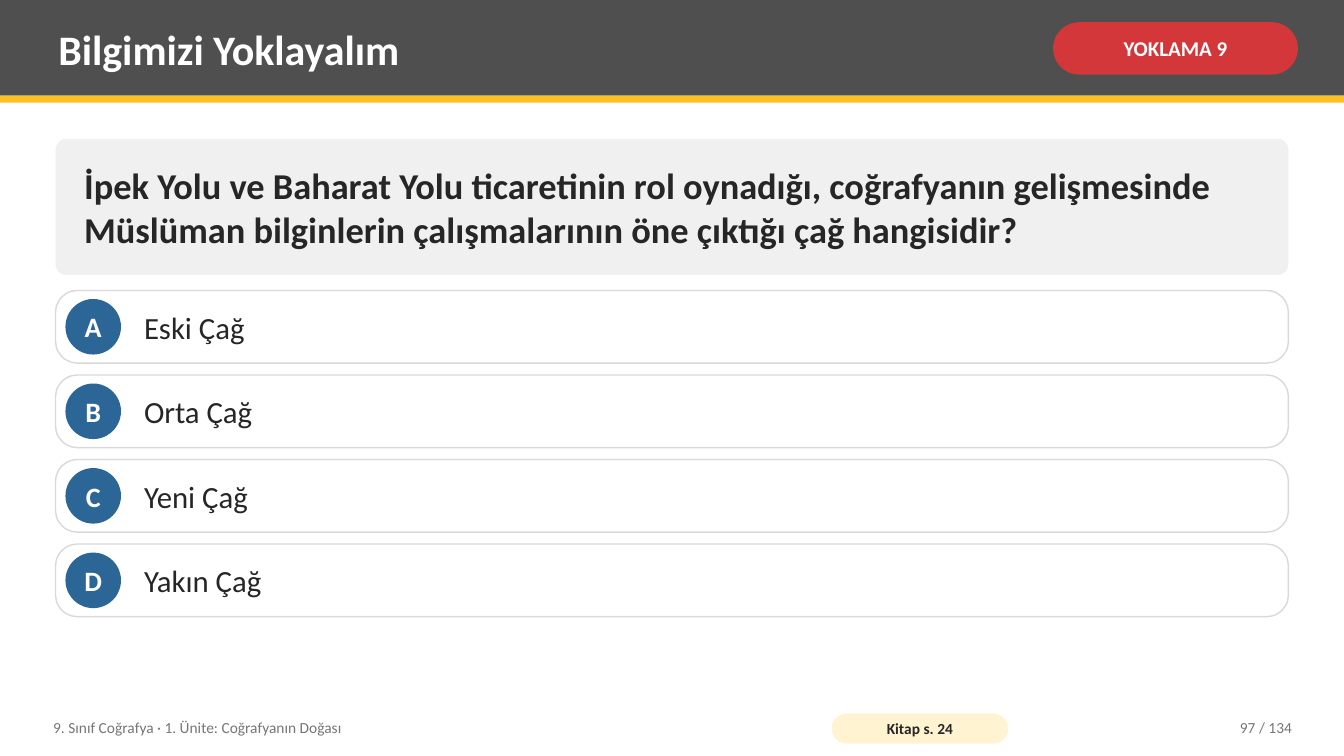
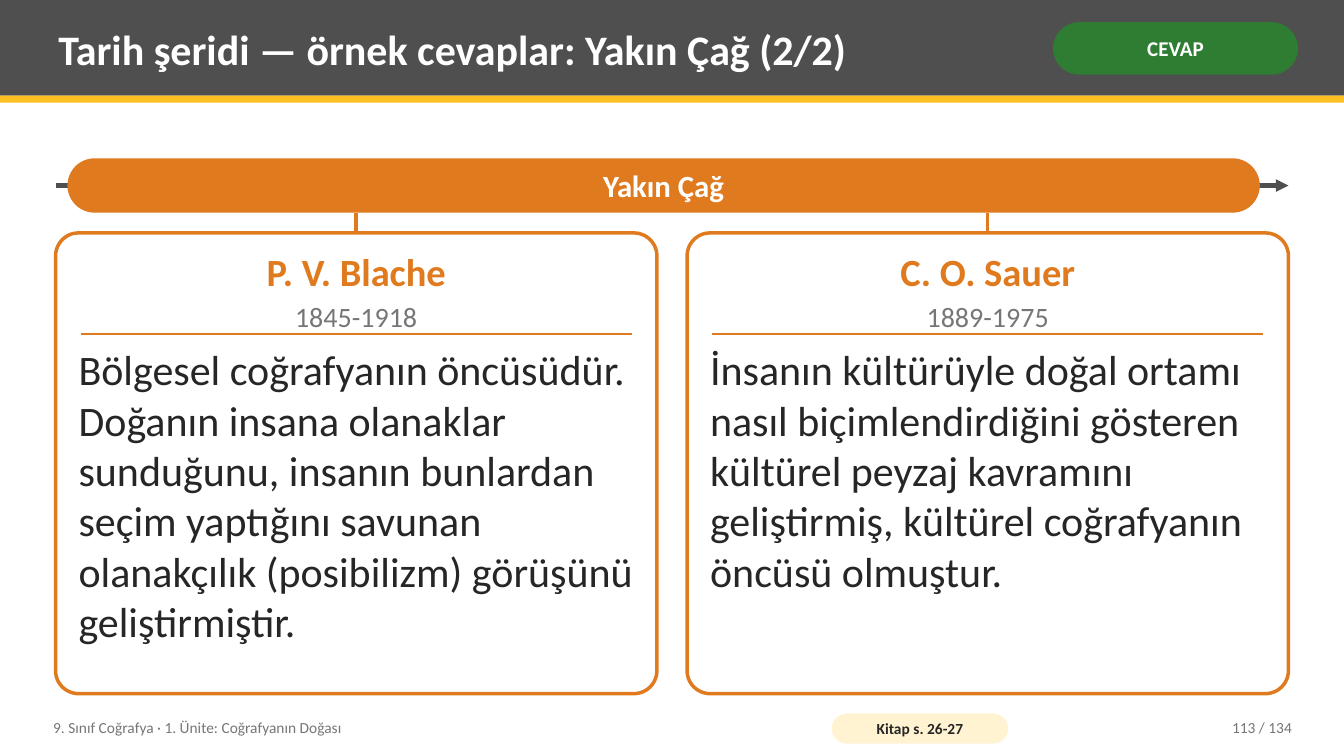
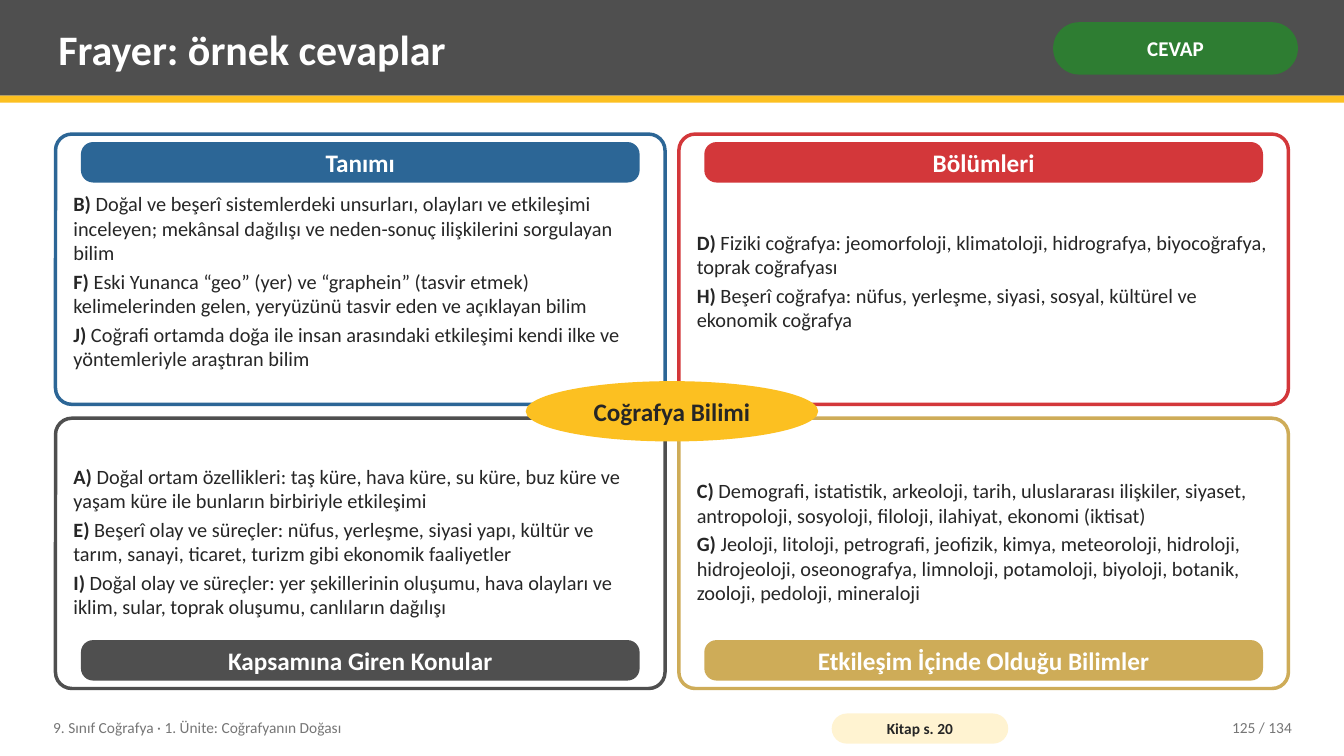
"""Builds three geography lesson slides: a quiz question, a timeline and a Frayer model."""
from dataclasses import dataclass
from typing import Any, NamedTuple, Optional, Sequence

from lxml.etree import SubElement
from pptx import Presentation
from pptx.dml.color import RGBColor as Rgb
from pptx.enum.shapes import MSO_CONNECTOR as Connector, MSO_SHAPE as Preset
from pptx.enum.text import MSO_ANCHOR as Anchor, PP_ALIGN as Align
from pptx.oxml.ns import qn
from pptx.util import Cm, Pt


@dataclass(frozen=True)
class Theme:
    font: str = "Calibri"
    white: str = "FFFFFF"
    ink: str = "262626"
    muted: str = "767676"
    charcoal: str = "4F4F4F"
    yellow: str = "FCC021"
    cream: str = "FFF3D1"
    mist: str = "F0F0F0"
    border: str = "D9D9D9"
    red: str = "D3373A"
    green: str = "2E7D32"
    blue: str = "2C6696"
    orange: str = "E07A1F"
    gold: str = "CEAC58"
    title_size: float = 30
    badge_size: float = 15
    question_size: float = 26
    letter_size: float = 20
    option_size: float = 22
    era_size: float = 22
    name_size: float = 27.5
    years_size: float = 20
    story_size: float = 30
    heading_size: float = 18
    note_size: float = 14.5
    footer_size: float = 11


THEME = Theme()
SLIDE_W, SLIDE_H = 33.87, 19.05
MARGIN, CONTENT_W = 1.4, 31.07


class Box(NamedTuple):
    left: float
    top: float
    width: float
    height: float


class Run(NamedTuple):
    text: str
    bold: bool = False


@dataclass(frozen=True)
class Style:
    size: float
    color: str = THEME.ink
    align: Align = Align.LEFT
    anchor: Anchor = Anchor.MIDDLE
    inset_x: float = 0.2
    inset_y: float = 0.1
    wrap: bool = True
    space_after: float = 0


@dataclass(frozen=True)
class Page:
    title: str
    badge: str
    badge_color: str
    book: str
    number: int


@dataclass(frozen=True)
class Scholar:
    name: str
    years: str
    story: str


@dataclass(frozen=True)
class Quadrant:
    heading: str
    color: str
    column: int
    row: int
    notes: Sequence[tuple[str, str]]


def apply(target: Any, values: dict[str, Any]) -> None:
    for name, value in values.items():
        setattr(target, name, value)


def write(holder: Any, paragraphs: Sequence[Sequence[Run]], style: Style) -> None:
    frame = holder.text_frame
    apply(frame, {
        "word_wrap": style.wrap, "vertical_anchor": style.anchor,
        "margin_left": Cm(style.inset_x), "margin_right": Cm(style.inset_x),
        "margin_top": Cm(style.inset_y), "margin_bottom": Cm(style.inset_y),
    })
    for index, runs in enumerate(paragraphs):
        paragraph = frame.add_paragraph() if index else frame.paragraphs[0]
        paragraph.alignment = style.align
        if style.space_after and index < len(paragraphs) - 1:
            paragraph.space_after = Pt(style.space_after)
        for text, bold in runs:
            run = paragraph.add_run()
            run.text = text
            apply(run.font, {"name": THEME.font, "size": Pt(style.size), "bold": bold})
            run.font.color.rgb = Rgb.from_string(style.color)


def add_text(slide: Any, box: Box, paragraphs: Sequence[Sequence[Run]], style: Style) -> None:
    write(slide.shapes.add_textbox(*map(Cm, box)), paragraphs, style)


def add_panel(slide: Any, preset: Preset, box: Box, fill: str, rounding: Optional[float] = None,
              outline: Optional[tuple[str, float]] = None) -> Any:
    panel = slide.shapes.add_shape(preset, *map(Cm, box))
    panel.shadow.inherit = False
    panel.fill.solid()
    panel.fill.fore_color.rgb = Rgb.from_string(fill)
    if rounding is not None:
        panel.adjustments[0] = rounding
    if outline:
        color, width = outline
        panel.line.color.rgb = Rgb.from_string(color)
        panel.line.width = Pt(width)
    else:
        panel.line.fill.background()
    return panel


def add_label(slide: Any, preset: Preset, box: Box, fill: str, text: str, style: Style,
              rounding: Optional[float] = None, bold: bool = True) -> None:
    write(add_panel(slide, preset, box, fill, rounding), [[Run(text, bold)]], style)


def add_line(slide: Any, start: tuple[float, float], end: tuple[float, float],
             color: str, width: float, arrow: bool = False) -> None:
    line = slide.shapes.add_connector(Connector.STRAIGHT, *map(Cm, start + end))
    line.line.color.rgb = Rgb.from_string(color)
    line.line.width = Pt(width)
    if arrow:
        SubElement(line.line._get_or_add_ln(), qn("a:tailEnd"), type="triangle")
    SubElement(line._element.spPr, qn("a:effectLst"))


def add_page(deck: Any, page: Page) -> Any:
    slide = deck.slides.add_slide(deck.slide_layouts[6])
    add_panel(slide, Preset.RECTANGLE, Box(0, 0, SLIDE_W, 2.41), THEME.charcoal)
    add_panel(slide, Preset.RECTANGLE, Box(0, 2.41, SLIDE_W, 0.18), THEME.yellow)
    add_text(slide, Box(1.27, 0.18, 24.77, 2.08), [[Run(page.title, True)]],
             Style(THEME.title_size, THEME.white))
    add_label(slide, Preset.ROUNDED_RECTANGLE, Box(26.54, 0.56, 6.17, 1.32), page.badge_color,
              page.badge, Style(THEME.badge_size, THEME.white, Align.CENTER,
                                inset_x=0.13, inset_y=0.05), 0.5)
    add_text(slide, Box(1.14, 17.88, 19.3, 0.91),
             [[Run("9. Sınıf Coğrafya · 1. Ünite: Coğrafyanın Doğası")]],
             Style(THEME.footer_size, THEME.muted))
    add_label(slide, Preset.ROUNDED_RECTANGLE, Box(20.96, 17.98, 4.45, 0.76), THEME.cream,
              f"Kitap s. {page.book}", Style(THEME.footer_size, align=Align.CENTER,
                                             inset_x=0.1, inset_y=0), 0.5)
    add_text(slide, Box(28.7, 17.88, 4.06, 0.91), [[Run(f"{page.number} / 134")]],
             Style(THEME.footer_size, THEME.muted, Align.RIGHT))
    return slide


def add_quiz(slide: Any, question: str, options: Sequence[str]) -> None:
    add_label(slide, Preset.ROUNDED_RECTANGLE, Box(MARGIN, 3.5, CONTENT_W, 3.43), THEME.mist,
              question, Style(THEME.question_size, inset_x=0.64, inset_y=0.2), 0.08)
    height, pitch, bullet = 1.83, 2.13, 1.4
    letter_style = Style(THEME.letter_size, THEME.white, Align.CENTER,
                         inset_x=0, inset_y=0, wrap=False)
    for index, (letter, option) in enumerate(zip("ABCD", options)):
        top = 7.32 + index * pitch
        add_panel(slide, Preset.ROUNDED_RECTANGLE, Box(MARGIN, top, CONTENT_W, height),
                  THEME.white, 0.3, (THEME.border, 1))
        add_label(slide, Preset.OVAL,
                  Box(MARGIN + 0.25, top + (height - bullet) / 2, bullet, bullet),
                  THEME.blue, letter, letter_style)
        add_text(slide, Box(3.43, top, 28.52, height), [[Run(option)]], Style(THEME.option_size))


def add_timeline(slide: Any, era: str, scholars: Sequence[Scholar]) -> None:
    era_box = Box(1.7, 3.99, 30.05, 1.37)
    axis = era_box.top + era_box.height / 2
    add_line(slide, (MARGIN, axis), (MARGIN + CONTENT_W, axis), THEME.charcoal, 3, arrow=True)
    add_label(slide, Preset.ROUNDED_RECTANGLE, era_box, THEME.orange, era,
              Style(THEME.era_size, THEME.white, Align.CENTER, inset_x=0.36, inset_y=0), 0.5)
    gap, top, height = 0.76, 5.87, 11.61
    width = (CONTENT_W - gap) / 2
    for index, scholar in enumerate(scholars):
        left = MARGIN + index * (width + gap)
        center = left + width / 2
        add_line(slide, (center, era_box.top + era_box.height), (center, top), THEME.orange, 2.5)
        add_panel(slide, Preset.ROUNDED_RECTANGLE, Box(left, top, width, height),
                  THEME.white, 0.05, (THEME.orange, 2.5))
        add_text(slide, Box(left + 0.25, top + 0.25, width - 0.5, 1.4), [[Run(scholar.name, True)]],
                 Style(THEME.name_size, THEME.orange, Align.CENTER, inset_y=0))
        add_text(slide, Box(left + 0.25, top + 1.65, width - 0.5, 0.91), [[Run(scholar.years)]],
                 Style(THEME.years_size, THEME.muted, Align.CENTER, inset_y=0))
        add_line(slide, (left + 0.64, top + 2.54), (left + width - 0.64, top + 2.54),
                 THEME.orange, 1.5)
        add_text(slide, Box(left + 0.38, top + 2.74, width - 0.76, 8.61), [[Run(scholar.story)]],
                 Style(THEME.story_size, anchor=Anchor.TOP, inset_y=0.05))


def add_frayer(slide: Any, concept: str, quadrants: Sequence[Quadrant]) -> None:
    gap, first_top, height = 0.35, 3.38, 6.81
    width = (CONTENT_W - gap) / 2
    heading_h, notes_h, edge, clearance = 1.02, 4.83, 0.2, 0.07
    heading_style = Style(THEME.heading_size, THEME.white, Align.CENTER,
                          inset_x=0.36, inset_y=0.03)
    for quadrant in quadrants:
        left = MARGIN + quadrant.column * (width + gap)
        top = first_top + quadrant.row * (height + gap)
        if quadrant.row == 0:
            heading_top = top + edge
            notes_top = heading_top + heading_h + clearance
        else:
            heading_top = top + height - edge - heading_h
            notes_top = heading_top - clearance - notes_h
        add_panel(slide, Preset.ROUNDED_RECTANGLE, Box(left, top, width, height),
                  THEME.white, 0.06, (quadrant.color, 2.5))
        add_label(slide, Preset.ROUNDED_RECTANGLE,
                  Box(left + 0.64, heading_top, width - 1.28, heading_h),
                  quadrant.color, quadrant.heading, heading_style, 0.3)
        add_text(slide, Box(left + 0.25, notes_top, width - 0.5, notes_h),
                 [[Run(f"{letter})", True), Run(f" {note}")] for letter, note in quadrant.notes],
                 Style(THEME.note_size, space_after=3))
    concept_w, concept_h = 7.37, 1.52
    middle = first_top + height + gap / 2
    add_label(slide, Preset.OVAL,
              Box((SLIDE_W - concept_w) / 2, middle - concept_h / 2, concept_w, concept_h),
              THEME.yellow, concept, Style(THEME.heading_size, align=Align.CENTER,
                                           inset_x=0.08, inset_y=0.05))


SCHOLARS = [
    Scholar("P. V. Blache", "1845-1918",
            "Bölgesel coğrafyanın öncüsüdür. Doğanın insana olanaklar sunduğunu, insanın bunlardan "
            "seçim yaptığını savunan olanakçılık (posibilizm) görüşünü geliştirmiştir."),
    Scholar("C. O. Sauer", "1889-1975",
            "İnsanın kültürüyle doğal ortamı nasıl biçimlendirdiğini gösteren kültürel peyzaj "
            "kavramını geliştirmiş, kültürel coğrafyanın öncüsü olmuştur."),
]

QUADRANTS = [
    Quadrant("Tanımı", THEME.blue, 0, 0, [
        ("B", "Doğal ve beşerî sistemlerdeki unsurları, olayları ve etkileşimi inceleyen; "
              "mekânsal dağılışı ve neden-sonuç ilişkilerini sorgulayan bilim"),
        ("F", "Eski Yunanca “geo” (yer) ve “graphein” (tasvir etmek) kelimelerinden gelen, "
              "yeryüzünü tasvir eden ve açıklayan bilim"),
        ("J", "Coğrafi ortamda doğa ile insan arasındaki etkileşimi kendi ilke ve "
              "yöntemleriyle araştıran bilim"),
    ]),
    Quadrant("Bölümleri", THEME.red, 1, 0, [
        ("D", "Fiziki coğrafya: jeomorfoloji, klimatoloji, hidrografya, biyocoğrafya, "
              "toprak coğrafyası"),
        ("H", "Beşerî coğrafya: nüfus, yerleşme, siyasi, sosyal, kültürel ve ekonomik coğrafya"),
    ]),
    Quadrant("Kapsamına Giren Konular", THEME.charcoal, 0, 1, [
        ("A", "Doğal ortam özellikleri: taş küre, hava küre, su küre, buz küre ve yaşam küre "
              "ile bunların birbiriyle etkileşimi"),
        ("E", "Beşerî olay ve süreçler: nüfus, yerleşme, siyasi yapı, kültür ve tarım, sanayi, "
              "ticaret, turizm gibi ekonomik faaliyetler"),
        ("I", "Doğal olay ve süreçler: yer şekillerinin oluşumu, hava olayları ve iklim, sular, "
              "toprak oluşumu, canlıların dağılışı"),
    ]),
    Quadrant("Etkileşim İçinde Olduğu Bilimler", THEME.gold, 1, 1, [
        ("C", "Demografi, istatistik, arkeoloji, tarih, uluslararası ilişkiler, siyaset, "
              "antropoloji, sosyoloji, filoloji, ilahiyat, ekonomi (iktisat)"),
        ("G", "Jeoloji, litoloji, petrografi, jeofizik, kimya, meteoroloji, hidroloji, "
              "hidrojeoloji, oseonografya, limnoloji, potamoloji, biyoloji, botanik, zooloji, "
              "pedoloji, mineraloji"),
    ]),
]


def main() -> None:
    deck = Presentation()
    apply(deck, {"slide_width": Cm(SLIDE_W), "slide_height": Cm(SLIDE_H)})
    add_quiz(add_page(deck, Page("Bilgimizi Yoklayalım", "YOKLAMA 9", THEME.red, "24", 97)),
             "İpek Yolu ve Baharat Yolu ticaretinin rol oynadığı, coğrafyanın gelişmesinde "
             "Müslüman bilginlerin çalışmalarının öne çıktığı çağ hangisidir?",
             ["Eski Çağ", "Orta Çağ", "Yeni Çağ", "Yakın Çağ"])
    add_timeline(add_page(deck, Page("Tarih şeridi — örnek cevaplar: Yakın Çağ (2/2)", "CEVAP",
                                     THEME.green, "26-27", 113)), "Yakın Çağ", SCHOLARS)
    add_frayer(add_page(deck, Page("Frayer: örnek cevaplar", "CEVAP", THEME.green, "20", 125)),
               "Coğrafya Bilimi", QUADRANTS)
    deck.save("out.pptx")


if __name__ == "__main__":
    main()
